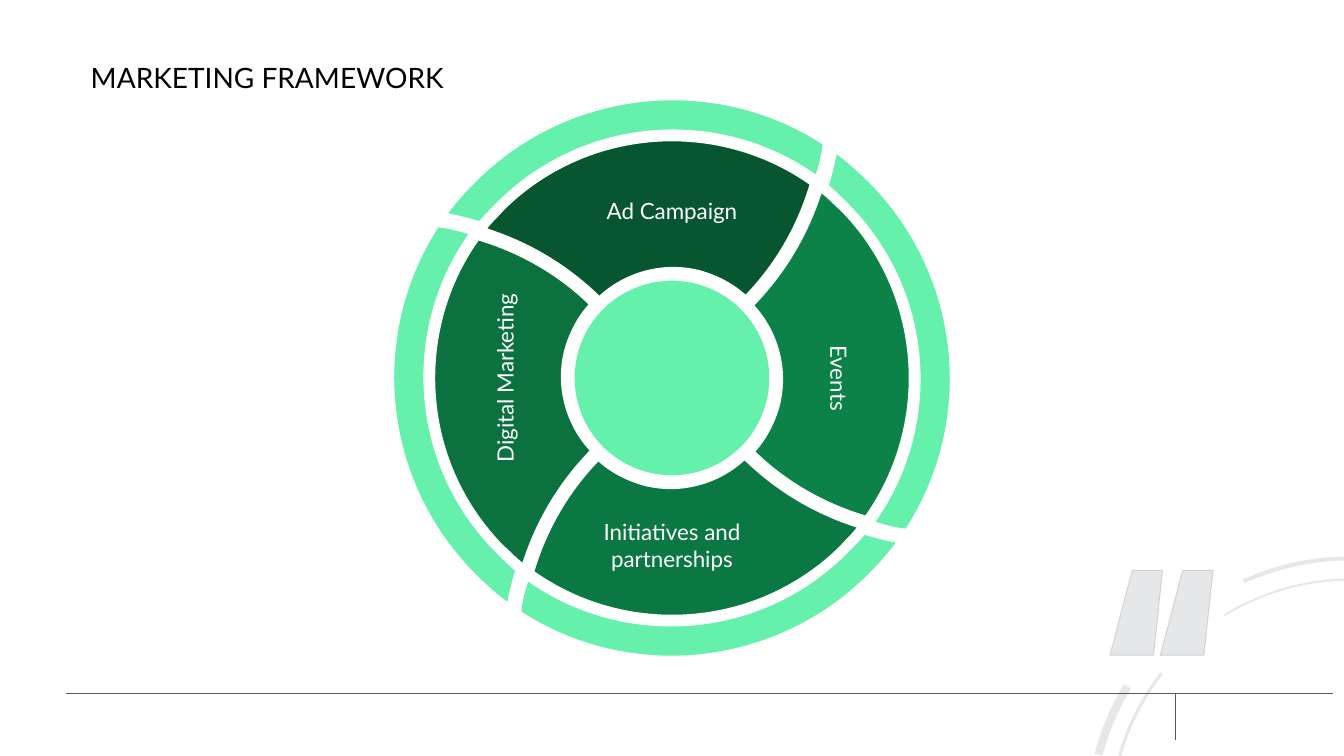
"""Build the marketing framework slide: a four-part wheel with a decorated footer."""
import math

import pptx
import pptx.dml.color
import pptx.enum.shapes
import pptx.enum.text
import pptx.oxml.ns
import pptx.util
from lxml import etree

WIDTH, HEIGHT = 13.33, 7.5
CENTER = (WIDTH / 2, HEIGHT / 2)
COLORS = {"mint": "65F0AC", "white": "FFFFFF", "black": "000000", "rule": "595959",
          "pale": "E6E7E8", "edge": "D2D3D5"}

TITLE = "MARKETING FRAMEWORK"
SECTORS = [
    {"label": "Digital Marketing", "color": "0B713F", "turn": 270, "rotation": 270},
    {"label": "Initiatives and partnerships", "color": "0B7743", "turn": 180, "rotation": 0},
    {"label": "Events", "color": "0C8148", "turn": 90, "rotation": 90},
    {"label": "Ad Campaign", "color": "085630", "turn": 0, "rotation": 0},
]
HUB_SIZE, TILT = 1.93, 45
LABEL_DISTANCE, LABEL_SIZE = 1.66, (2.18, 0.82)
RIM_CURVES = [
    (-1.73, -1.74),
    (-0.87, -2.6), (0.47, -2.69), (1.43, -2.01),
    (1.46, -2.11), (1.49, -2.21), (1.5, -2.32),
    (0.44, -3.01), (-1.01, -2.89), (-1.95, -1.95),
    (-2.05, -1.85), (-2.15, -1.74), (-2.23, -1.63),
    (-2.12, -1.61), (-2.01, -1.58), (-1.91, -1.55),
    (-1.86, -1.61), (-1.79, -1.68), (-1.73, -1.74),
]
WEDGE_CURVES = [
    (-1.67, -1.67),
    (-1.72, -1.61), (-1.79, -1.55), (-1.84, -1.48),
    (-1.43, -1.35), (-1.05, -1.13), (-0.72, -0.81),
    (-0.46, -1.05), (-0.08, -1.16), (0.29, -1.06),
    (0.46, -1.01), (0.61, -0.93), (0.73, -0.82),
    (1.04, -1.14), (1.25, -1.52), (1.37, -1.92),
    (0.45, -2.57), (-0.84, -2.49), (-1.67, -1.67),
]
SWEEP_CENTER = (13.4, 8.15)
SWEEPS = [(2.63, 2.55, 14.8, 31.1), (2.4, 2.37, 15.9, 38),
          (2.41, 2.39, 58.5, 88.3), (2.63, 2.59, 65.9, 88.4)]
QUOTE = [(0.22, 0), (0.52, 0), (0.43, 0.84), (0, 0.84)]
QUOTE_ORIGIN, QUOTE_STEP = (11.01, 5.66), 0.5
FOOTER_RULES = [((11.66, 6.89), (11.66, 7.34)), ((0.65, 6.88), (13.22, 6.88))]


def rgb(color):
    return pptx.dml.color.RGBColor.from_string(color)


def inches(values):
    return [pptx.util.Inches(value) for value in values]


def paint(shape, fill=None, line=None):
    shape.shadow.inherit = False
    if fill:
        shape.fill.solid()
        shape.fill.fore_color.rgb = rgb(fill)
    else:
        shape.fill.background()
    if line:
        shape.line.color.rgb = rgb(line)
        shape.line.width = pptx.util.Pt(0.75)
    else:
        shape.line.fill.background()


def add_outline(slide, contours):
    contours = [[inches(point) for point in contour] for contour in contours]
    builder = slide.shapes.build_freeform(*contours[0][0], scale=1.0)
    for index, contour in enumerate(contours):
        if index:
            builder.move_to(*contour[0])
        builder.add_line_segments(contour[1:], close=True)
    return builder.convert_to_shape()


def sample_curves(points, steps=16):
    sampled = [points[0]]
    for first in range(0, len(points) - 1, 3):
        knots = points[first:first + 4]
        for step in range(1, steps + 1):
            t = step / steps
            weights = ((1 - t) ** 3, 3 * t * (1 - t) ** 2, 3 * t * t * (1 - t), t ** 3)
            sampled.append(tuple(sum(weight * knot[axis] for weight, knot in zip(weights, knots))
                                 for axis in (0, 1)))
    return sampled


def turn_point(point, degrees):
    cosine, sine = math.cos(math.radians(degrees)), math.sin(math.radians(degrees))
    return point[0] * cosine - point[1] * sine, point[0] * sine + point[1] * cosine


def place_on_wheel(points, degrees):
    turned = [turn_point(point, degrees) for point in points]
    return [(CENTER[0] + x, CENTER[1] + y) for x, y in turned]


def add_curved_part(slide, curves, turn, fill):
    points = place_on_wheel(curves, turn + TILT)
    shape = add_outline(slide, [sample_curves(points)])
    outline = next(shape._element.iter(pptx.oxml.ns.qn("a:path")))
    for segment in list(outline):
        outline.remove(segment)
    segments = [("a:moveTo", points[:1])]
    segments += [("a:cubicBezTo", points[first:first + 3]) for first in range(1, len(points), 3)]
    for tag, knots in segments + [("a:close", [])]:
        segment = etree.SubElement(outline, pptx.oxml.ns.qn(tag))
        for x, y in map(inches, knots):
            etree.SubElement(segment, pptx.oxml.ns.qn("a:pt"),
                             x=str(x - shape.left), y=str(y - shape.top))
    middle = (shape.left + shape.width / 2 - pptx.util.Inches(CENTER[0]),
              shape.top + shape.height / 2 - pptx.util.Inches(CENTER[1]))
    x, y = turn_point(middle, -TILT)
    shape.left += round(x - middle[0])
    shape.top += round(y - middle[1])
    shape.rotation = 360 - TILT
    paint(shape, fill, COLORS["white"])


def sweep_outline(outer, inner, start, end, steps=20):
    angles = [math.radians(start + (end - start) * step / steps) for step in range(steps + 1)]
    arc = [(outer, angle) for angle in angles] + [(inner, angle) for angle in reversed(angles)]
    return [(SWEEP_CENTER[0] - radius * math.cos(angle), SWEEP_CENTER[1] - radius * math.sin(angle))
            for radius, angle in arc]


def write(shape, text, size, color, margin, alignment, anchor):
    frame = shape.text_frame
    frame.text = text
    margins = {f"margin_{side}": pptx.util.Inches(margin)
               for side in ("left", "top", "right", "bottom")}
    frame_format = {"word_wrap": True, "auto_size": pptx.enum.text.MSO_AUTO_SIZE.NONE,
                    "vertical_anchor": anchor, **margins}
    for name, value in frame_format.items():
        setattr(frame, name, value)
    paragraph = frame.paragraphs[0]
    paragraph.alignment = alignment
    font = paragraph.runs[0].font
    for name, value in {"name": "Lato", "size": pptx.util.Pt(size), "bold": False}.items():
        setattr(font, name, value)
    font.color.rgb = rgb(color)


def add_decoration(slide):
    paint(add_outline(slide, [sweep_outline(*sweep) for sweep in SWEEPS]), COLORS["pale"])
    quotes = [[(QUOTE_ORIGIN[0] + column * QUOTE_STEP + x, QUOTE_ORIGIN[1] + y) for x, y in QUOTE]
              for column in range(2)]
    for style in ({"fill": COLORS["pale"]}, {"line": COLORS["edge"]}):
        paint(add_outline(slide, quotes), **style)
    for begin, end in FOOTER_RULES:
        rule = slide.shapes.add_connector(pptx.enum.shapes.MSO_CONNECTOR.STRAIGHT,
                                          *inches(begin + end))
        rule.line.color.rgb = rgb(COLORS["rule"])
        rule.line.width = pptx.util.Pt(0.75)
        etree.SubElement(rule._element.spPr, pptx.oxml.ns.qn("a:effectLst"))


def add_title(slide):
    title = slide.shapes.title
    box = dict(zip(("left", "top", "width", "height"), inches((0.8, 0.5, 8.37, 0.54))))
    for name, value in box.items():
        setattr(title, name, value)
    write(title, TITLE, 20, COLORS["black"], 0.1,
          pptx.enum.text.PP_ALIGN.LEFT, pptx.enum.text.MSO_ANCHOR.TOP)


def add_wheel(slide):
    hub = slide.shapes.add_shape(
        pptx.enum.shapes.MSO_SHAPE.OVAL,
        *inches((CENTER[0] - HUB_SIZE / 2, CENTER[1] - HUB_SIZE / 2, HUB_SIZE, HUB_SIZE)))
    hub.rotation = 360 - TILT
    paint(hub, COLORS["mint"])
    width, height = LABEL_SIZE
    for sector in SECTORS:
        for curves, fill in ((RIM_CURVES, COLORS["mint"]), (WEDGE_CURVES, sector["color"])):
            add_curved_part(slide, curves, sector["turn"], fill)
        x, y = place_on_wheel([(0, -LABEL_DISTANCE)], sector["turn"])[0]
        label = slide.shapes.add_textbox(*inches((x - width / 2, y - height / 2, width, height)))
        label.rotation = sector["rotation"]
        write(label, sector["label"], 16, COLORS["white"], 0.13,
              pptx.enum.text.PP_ALIGN.CENTER, pptx.enum.text.MSO_ANCHOR.MIDDLE)


def main():
    presentation = pptx.Presentation()
    presentation.slide_width, presentation.slide_height = inches((WIDTH, HEIGHT))
    slide = presentation.slides.add_slide(presentation.slide_layouts[5])
    add_decoration(slide)
    add_title(slide)
    add_wheel(slide)
    presentation.save("out.pptx")


if __name__ == "__main__":
    main()
